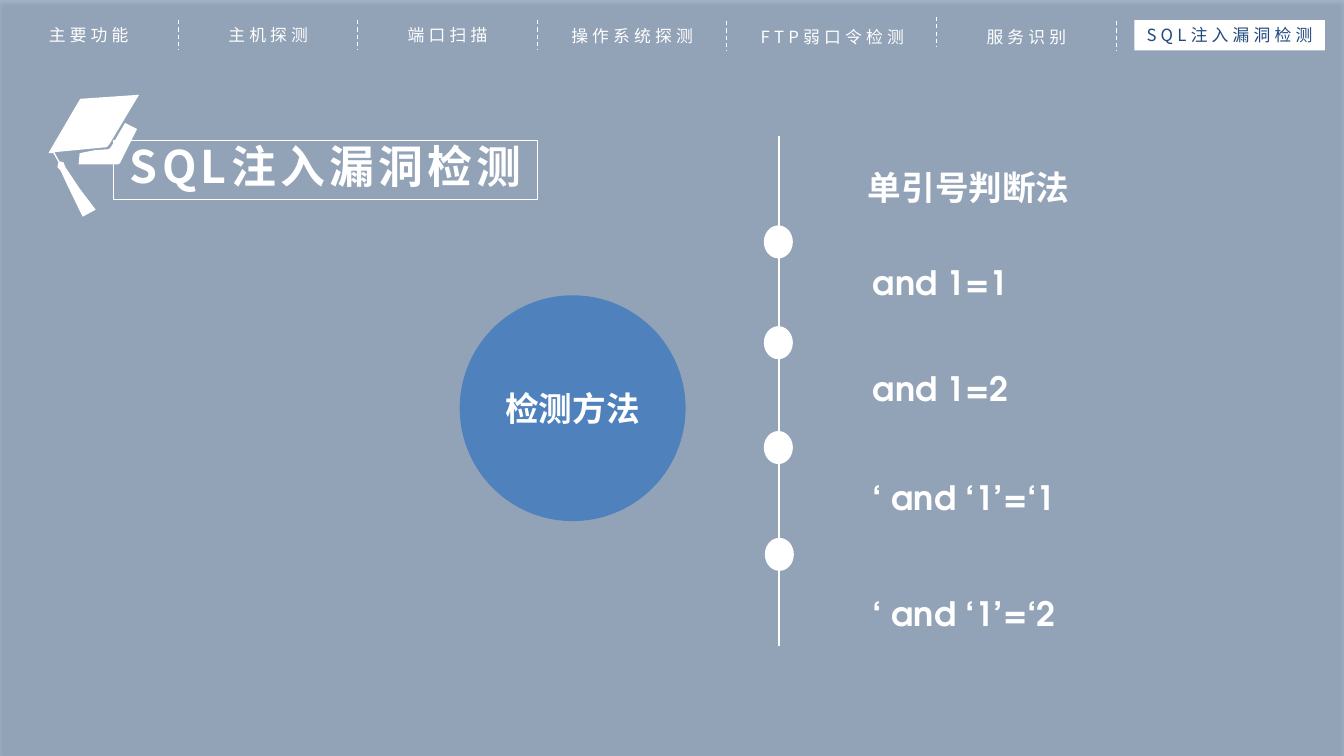
from lxml import etree
from pptx import Presentation
from pptx.dml.color import RGBColor
from pptx.enum.dml import MSO_LINE as Dash
from pptx.enum.shapes import MSO_CONNECTOR as Conn, MSO_SHAPE as Kind
from pptx.enum.text import MSO_ANCHOR as Anchor, MSO_AUTO_SIZE as Fit, PP_ALIGN as Align
from pptx.oxml import parse_xml
from pptx.oxml.ns import qn
from pptx.util import Inches, Pt

WHITE = RGBColor(0xFF, 0xFF, 0xFF)
NAVY = RGBColor(0x1F, 0x49, 0x7D)
BLUE = RGBColor(0x4F, 0x81, 0xBD)
HAN = "Noto Sans CJK SC"
LATIN = "TeX Gyre Adventor"
TITLE = "SQL注入漏洞检测"

TABS = [
    ("主要功能", 0.18, 0.2, 1.4),
    ("主机探测", 1.95, 0.2, 1.42),
    ("端口扫描", 3.73, 0.2, 1.42),
    ("操作系统探测", 5.51, 0.21, 1.52),
    ("FTP弱口令检测", 7.4, 0.22, 1.71),
    ("服务识别", 9.47, 0.22, 1.42),
]
SEAMS = [(1.77, 0.2), (3.55, 0.2), (5.33, 0.2), (7.21, 0.21), (9.29, 0.17), (11.07, 0.21)]
TESTS = [
    ("单引号判断法", 8.51, 1.61),
    ("and 1=1", 8.56, 2.55),
    ("and 1=2", 8.56, 3.6),
    ("‘ and ‘1’=‘1", 8.56, 4.68),
    ("‘ and ‘1’=‘2", 8.56, 5.83),
]
DOTS = [(7.59, 2.25), (7.59, 3.25), (7.59, 4.29), (7.6, 5.35)]
BOARD = [
    (0.54, 1.51), (0.59, 1.6), (0.63, 1.61), (0.65, 1.66), (0.79, 1.87), (0.95, 2.08),
    (0.82, 2.15), (0.66, 1.82), (0.6, 1.69), (0.57, 1.66), (0.58, 1.61), (0.53, 1.52),
    (0.48, 1.52), (0.79, 0.99), (0.8, 0.98), (1.38, 0.94), (1.08, 1.44), (1.06, 1.46),
]
BAND = [
    (0.78, 1.63), (0.79, 1.52), (0.94, 1.49), (1.08, 1.48), (1.1, 1.46),
    (1.24, 1.22), (1.36, 1.28), (1.19, 1.62), (1.17, 1.63),
]
SHADOW = (
    '<a:effectLst xmlns:a="http://schemas.openxmlformats.org/drawingml/2006/main">'
    '<a:outerShdw blurRad="39370" dist="22860" dir="5400000" rotWithShape="0">'
    '<a:srgbClr val="000000"><a:alpha val="35000"/></a:srgbClr>'
    "</a:outerShdw></a:effectLst>"
)


def paint(shape, fill=None, line=None, width=0.75):
    shape.shadow.inherit = False
    if fill is None:
        shape.fill.background()
    else:
        shape.fill.solid()
        shape.fill.fore_color.rgb = fill
    if line is None:
        shape.line.fill.background()
    else:
        shape.line.color.rgb = line
        shape.line.width = Pt(width)
    return shape


def add_box(shapes, kind, x, y, w, h, **style):
    shape = shapes.add_shape(kind, Inches(x), Inches(y), Inches(w), Inches(h))
    return paint(shape, **style)


def add_line(shapes, x, top, end, width, dash=None):
    line = shapes.add_connector(Conn.STRAIGHT, Inches(x), Inches(top), Inches(x), Inches(end))
    line.line.color.rgb = WHITE
    line.line.width = Pt(width)
    if dash is not None:
        line.line.dash_style = dash
    etree.SubElement(line._element.spPr, qn("a:effectLst"))


def add_free(shapes, points):
    start, *rest = [(Inches(x), Inches(y)) for x, y in points]
    pen = shapes.build_freeform(*start)
    pen.add_line_segments(rest, close=True)
    paint(pen.convert_to_shape(), fill=WHITE)


def write(shape, text, size, color=WHITE, bold=False, font=HAN, space=0,
          align=Align.CENTER, anchor=Anchor.TOP, wrap=False, fit=Fit.NONE):
    frame = shape.text_frame
    frame.word_wrap = wrap
    frame.auto_size = fit
    frame.vertical_anchor = anchor
    para = frame.paragraphs[0]
    para.alignment = align
    run = para.add_run()
    run.text = text
    run.font.size = Pt(size)
    run.font.bold = bold
    run.font.color.rgb = color
    run.font.name = font
    props = run.font._element
    if space:
        props.set("spc", str(space * 100))
    etree.SubElement(props, qn("a:ea")).set("typeface", HAN)
    return para


def add_text(shapes, text, x, y, w, h, size, **style):
    box = shapes.add_textbox(Inches(x), Inches(y), Inches(w), Inches(h))
    write(box, text, size, fit=Fit.SHAPE_TO_FIT_TEXT, **style)


def add_back(shapes):
    back = add_box(shapes, Kind.RECTANGLE, 0, 0, 13.33, 7.5, fill=NAVY)
    tint = back._element.spPr.find(qn("a:solidFill"))[0]
    etree.SubElement(tint, qn("a:alpha")).set("val", "39000")
    glow = back._element.spPr.find(qn("a:effectLst"))
    glow.getparent().replace(glow, parse_xml(SHADOW))


def add_tests(shapes):
    hub = add_box(shapes, Kind.OVAL, 4.56, 2.93, 2.24, 2.24, fill=BLUE)
    write(hub, "检测方法", 24, bold=True, anchor=Anchor.MIDDLE)
    for text, x, y in TESTS:
        add_text(shapes, text, x, y, 3.29, 0.5, 24, bold=True, font=LATIN,
                 align=Align.LEFT, wrap=True)
    track = shapes.add_group_shape().shapes
    add_line(track, 7.73, 1.35, 6.41, 1.5)
    for x, y in DOTS:
        add_box(track, Kind.OVAL, x, y, 0.26, 0.3, fill=WHITE, line=WHITE, width=2)


def add_tabs(shapes):
    for text, x, y, w in TABS:
        add_text(shapes, text, x, y, w, 0.3, 12, space=3)
    live = add_box(shapes, Kind.RECTANGLE, 11.25, 0.2, 1.89, 0.3, fill=WHITE)
    write(live, TITLE, 12, color=NAVY, space=3)
    for x, y in SEAMS:
        add_line(shapes, x, y, y + 0.3, 0.75, Dash.DASH)


def add_title(shapes):
    box = add_box(shapes, Kind.RECTANGLE, 1.13, 1.39, 4.2, 0.59, line=WHITE)
    write(box, TITLE, 32, bold=True, space=3).line_spacing = 0.9
    cap = shapes.add_group_shape().shapes
    add_free(cap, BOARD)
    add_free(cap, BAND)


def main():
    deck = Presentation()
    deck.slide_width = Inches(13.33)
    deck.slide_height = Inches(7.5)
    shapes = deck.slides.add_slide(deck.slide_layouts[6]).shapes
    add_back(shapes)
    add_tests(shapes)
    add_tabs(shapes)
    add_title(shapes)
    deck.save("out.pptx")


if __name__ == "__main__":
    main()
